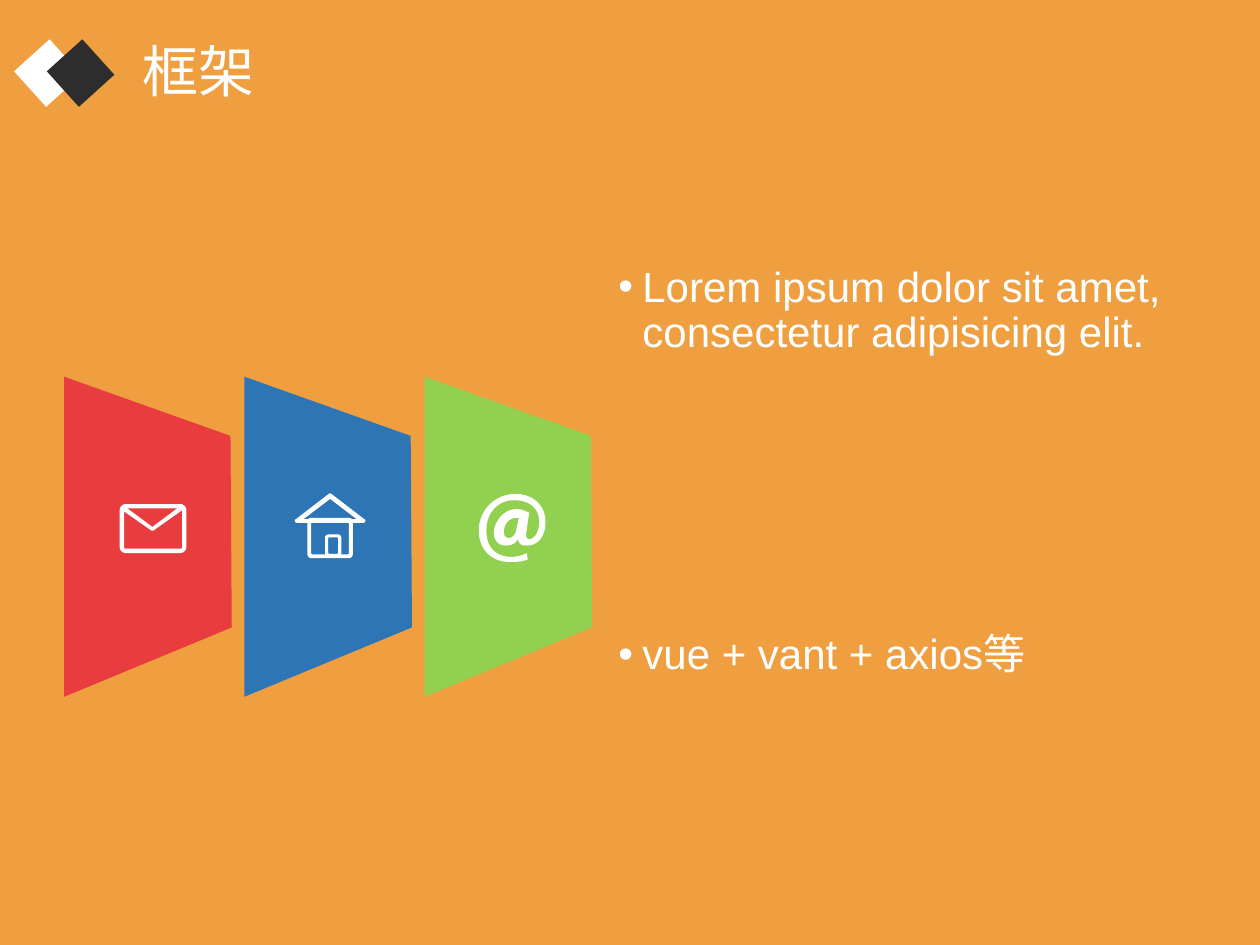
import math

import pptx
import pptx.dml.color
import pptx.enum.shapes
import pptx.enum.text
import pptx.oxml
import pptx.oxml.ns
import pptx.util
from pptx.util import Inches

WHITE = "FFFFFF"
CURVE_STEPS = 10


def color(hex_text):
    return pptx.dml.color.RGBColor.from_string(hex_text)


def paint(shape, fill):
    shape.shadow.inherit = False
    shape.fill.solid()
    shape.fill.fore_color.rgb = color(fill)
    shape.line.fill.background()


def add_diamond(slide, left, fill):
    shape = slide.shapes.add_shape(
        pptx.enum.shapes.MSO_SHAPE.RECTANGLE,
        Inches(left), Inches(0.39), Inches(0.38), Inches(0.38))
    shape.rotation = 47.9
    paint(shape, fill)


def add_outline(slide, fill, *contours):
    """Draw closed contours as one shape; inner contours become holes."""
    builder = None
    for contour in contours:
        points = [(Inches(x), Inches(y)) for x, y in contour]
        if builder is None:
            builder = slide.shapes.build_freeform(*points[0], scale=1.0)
        else:
            builder.move_to(*points[0])
        builder.add_line_segments(points[1:], close=True)
    paint(builder.convert_to_shape(), fill)


def rounded_box(left, top, width, height, radius):
    right, bottom = left + width, top + height
    corners = [(right - radius, top + radius, -90), (right - radius, bottom - radius, 0),
               (left + radius, bottom - radius, 90), (left + radius, top + radius, 180)]
    return [(x + radius * math.cos(math.radians(start + turn)),
             y + radius * math.sin(math.radians(start + turn)))
            for x, y, start in corners for turn in range(0, 91, 15)]


def add_frame(slide, left, top, width, height, radius, band):
    add_outline(slide, WHITE,
                rounded_box(left, top, width, height, radius),
                rounded_box(left + band, top + band, width - 2 * band,
                            height - 2 * band, 0.01))


def curve(start, *segments):
    """Flatten Bezier segments (six numbers) and lines (two numbers)."""
    points = [start]
    for segment in segments:
        if len(segment) == 2:
            points.append(segment)
            continue
        x0, y0 = points[-1]
        x1, y1, x2, y2, x3, y3 = segment
        for step in range(1, CURVE_STEPS + 1):
            t = step / CURVE_STEPS
            a, b, c, d = (1 - t) ** 3, 3 * t * (1 - t) ** 2, 3 * t * t * (1 - t), t ** 3
            points.append((a * x0 + b * x1 + c * x2 + d * x3,
                           a * y0 + b * y1 + c * y2 + d * y3))
    return points


def add_text(slide, left, top, width, height, text, size, bullet=False):
    box = slide.shapes.add_textbox(Inches(left), Inches(top), Inches(width), Inches(height))
    frame = box.text_frame
    frame.word_wrap = True
    paragraph = frame.paragraphs[0]
    paragraph.text = text
    paragraph.line_spacing = 0.9
    if bullet:
        properties = paragraph._p.get_or_add_pPr()
        properties.set("marL", str(Inches(0.19)))
        properties.set("indent", str(Inches(-0.19)))
        namespace = pptx.oxml.ns.nsdecls("a")
        for xml in (f'<a:buClr {namespace}><a:srgbClr val="{WHITE}"/></a:buClr>',
                    f'<a:buFont {namespace} typeface="Arial"/>',
                    f'<a:buChar {namespace} char="•"/>'):
            properties.append(pptx.oxml.parse_xml(xml))
    paragraph.font.name = "Arial"
    paragraph.font.size = pptx.util.Pt(size)
    paragraph.font.color.rgb = color(WHITE)
    return frame


def add_house(slide):
    add_frame(slide, 2.44, 4.11, 0.36, 0.32, 0.03, 0.03)
    roof = curve((2.36, 4.15), (2.34, 4.15, 2.33, 4.13, 2.35, 4.12), (2.61, 3.92),
                 (2.62, 3.915, 2.62, 3.915, 2.63, 3.92), (2.89, 4.12),
                 (2.91, 4.13, 2.9, 4.15, 2.88, 4.15))
    add_outline(slide, WHITE, roof, [(2.83, 4.12), (2.62, 3.96), (2.41, 4.12)])
    add_frame(slide, 2.58, 4.24, 0.13, 0.18, 0.03, 0.025)


def add_at_sign(slide):
    outer = curve(
        (4.19, 4.44), (4.14, 4.46, 4.1, 4.46, 4.04, 4.46), (3.91, 4.46, 3.8, 4.37, 3.8, 4.21),
        (3.8, 4.06, 3.92, 3.92, 4.09, 3.92), (4.23, 3.92, 4.33, 4.01, 4.33, 4.14),
        (4.33, 4.26, 4.27, 4.33, 4.18, 4.33), (4.14, 4.33, 4.12, 4.32, 4.11, 4.28),
        (4.09, 4.32, 4.05, 4.33, 4.01, 4.33), (3.96, 4.33, 3.92, 4.29, 3.92, 4.23),
        (3.92, 4.14, 4, 4.04, 4.1, 4.04), (4.14, 4.04, 4.18, 4.06, 4.2, 4.07),
        (4.18, 4.21), (4.17, 4.26, 4.18, 4.28, 4.2, 4.28),
        (4.23, 4.28, 4.28, 4.24, 4.28, 4.14), (4.28, 4.04, 4.21, 3.97, 4.08, 3.97),
        (3.96, 3.97, 3.86, 4.06, 3.86, 4.21), (3.86, 4.35, 3.94, 4.42, 4.06, 4.42),
        (4.1, 4.42, 4.14, 4.41, 4.18, 4.39))
    inner = curve(
        (4.12, 4.11), (4.11, 4.11, 4.1, 4.11, 4.1, 4.11), (4.04, 4.11, 4, 4.16, 4, 4.22),
        (4, 4.25, 4.01, 4.27, 4.04, 4.27), (4.07, 4.27, 4.1, 4.23, 4.1, 4.19))
    add_outline(slide, WHITE, outer, inner)


def add_envelope(slide):
    add_frame(slide, 0.95, 4, 0.53, 0.39, 0.05, 0.035)
    add_outline(slide, WHITE, [(1.2, 4.19), (1.44, 4.01), (1.46, 4.04), (1.22, 4.21)])
    add_outline(slide, WHITE, curve(
        (1.22, 4.19), (0.99, 4.02), (0.97, 4.01, 0.95, 4.03, 0.97, 4.05),
        (1.2, 4.21), (1.21, 4.22, 1.24, 4.2, 1.22, 4.19)))


def main():
    presentation = pptx.Presentation()
    presentation.slide_width, presentation.slide_height = Inches(10), Inches(7.5)
    slide = presentation.slides.add_slide(presentation.slide_layouts[6])
    slide.background.fill.solid()
    slide.background.fill.fore_color.rgb = color("EF9F3F")

    # Heading
    add_diamond(slide, 0.19, WHITE)
    add_diamond(slide, 0.45, "2D2D2D")
    title = add_text(slide, 1.03, 0.15, 8.28, 0.88, "框架", 32)
    title.vertical_anchor = pptx.enum.text.MSO_ANCHOR.MIDDLE

    # Bullets
    for top, text in ((2.06, "Lorem ipsum dolor sit amet, consectetur adipisicing elit."),
                      (4.98, "vue + vant + axios等")):
        add_text(slide, 4.81, top, 4.72, 1.94, text, 24, bullet=True)

    # Folded panels
    for index, fill in enumerate(("E93C3F", "2E75B6", "92D050")):
        left = 0.51 + 1.43 * index
        add_outline(slide, fill, [(left, 2.99), (left + 1.32, 3.46),
                                  (left + 1.33, 4.98), (left, 5.53)])

    # Icons
    add_house(slide)
    add_at_sign(slide)
    add_envelope(slide)

    presentation.save("out.pptx")


if __name__ == "__main__":
    main()
